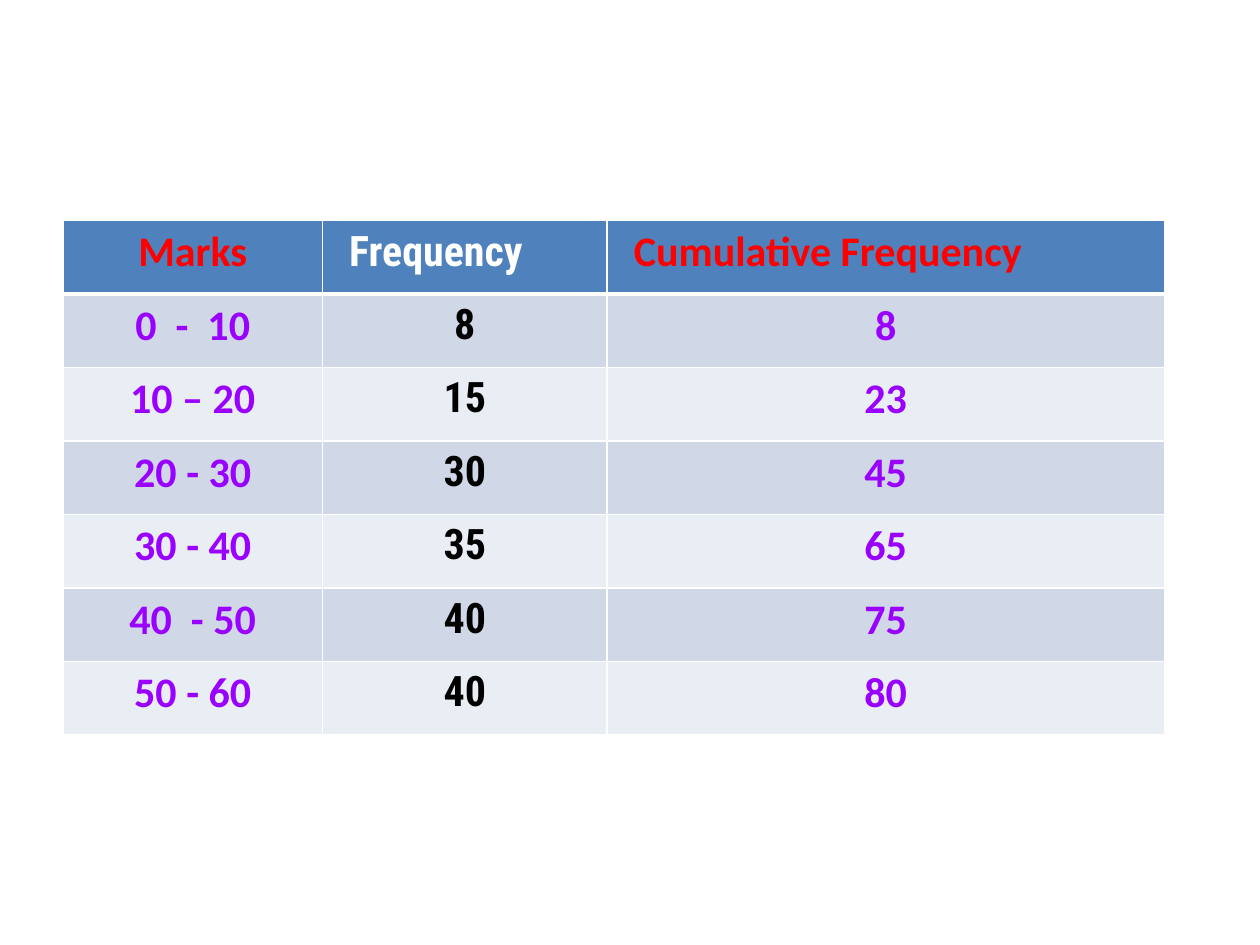
from lxml import etree
from pptx import Presentation
from pptx.dml.color import RGBColor
from pptx.enum import text
from pptx.oxml.ns import qn
from pptx.util import Cm, Pt

WHITE = RGBColor(0xFF, 0xFF, 0xFF)
BLACK = RGBColor(0x00, 0x00, 0x00)
RED = RGBColor(0xFF, 0x00, 0x00)
PURPLE = RGBColor(0x99, 0x00, 0xFF)
HEADER_BLUE = RGBColor(0x4F, 0x81, 0xBD)
BANDS = [RGBColor(0xE9, 0xED, 0xF4), RGBColor(0xD0, 0xD8, 0xE8)]

ROWS = [
    ("Marks", "Frequency", "Cumulative Frequency"),
    ("0  -  10", "8", "8"),
    ("10 – 20", "15", "23"),
    ("20 - 30", "30", "45"),
    ("30 - 40", "35", "65"),
    ("40  - 50", "40", "75"),
    ("50 - 60", "40", "80"),
]
COLUMN_WIDTHS = [Cm(5.23), Cm(5.74), Cm(11.23)]
COLUMN_FONTS = ["Calibri", "Roboto Condensed", "Calibri"]
HEADER_COLORS = [RED, WHITE, RED]
BODY_COLORS = [PURPLE, BLACK, PURPLE]
ROW_HEIGHT = Cm(1.48)
HEADER_INDENT = Cm(0.54)


def add_borders(cell, bottom_width):
    """Draw white cell borders; they must come before the fill in the XML."""
    widths = {"a:lnL": 1, "a:lnR": 1, "a:lnT": 1, "a:lnB": bottom_width}
    properties = cell._tc.get_or_add_tcPr()
    for position, (side, width) in enumerate(widths.items()):
        line = etree.Element(qn(side), w=str(Pt(width)))
        fill = etree.SubElement(line, qn("a:solidFill"))
        etree.SubElement(fill, qn("a:srgbClr"), val=str(WHITE))
        properties.insert(position, line)


prs = Presentation()
prs.slide_width, prs.slide_height = Cm(25.4), Cm(19.05)
slide = prs.slides.add_slide(prs.slide_layouts[6])

marks_table = slide.shapes.add_table(
    len(ROWS), len(COLUMN_WIDTHS), Cm(1.27), Cm(4.45),
    sum(COLUMN_WIDTHS), ROW_HEIGHT * len(ROWS),
).table
for column, width in zip(marks_table.columns, COLUMN_WIDTHS):
    column.width = width

for r, entries in enumerate(ROWS):
    is_header = r == 0
    marks_table.rows[r].height = ROW_HEIGHT
    for c, entry in enumerate(entries):
        cell = marks_table.cell(r, c)
        cell.fill.solid()
        cell.fill.fore_color.rgb = HEADER_BLUE if is_header else BANDS[r % 2]
        # The header row is ruled off from the body by a thicker line
        add_borders(cell, 3 if is_header else 1)

        paragraph = cell.text_frame.paragraphs[0]
        if is_header and c > 0:
            paragraph.alignment = text.PP_ALIGN.LEFT
            cell.margin_left = HEADER_INDENT
        else:
            paragraph.alignment = text.PP_ALIGN.CENTER
        run = paragraph.add_run()
        run.text = entry
        font_format = {"name": COLUMN_FONTS[c], "size": Pt(24), "bold": True}
        for attribute, value in font_format.items():
            setattr(run.font, attribute, value)
        run.font.color.rgb = (HEADER_COLORS if is_header else BODY_COLORS)[c]

prs.save("out.pptx")
